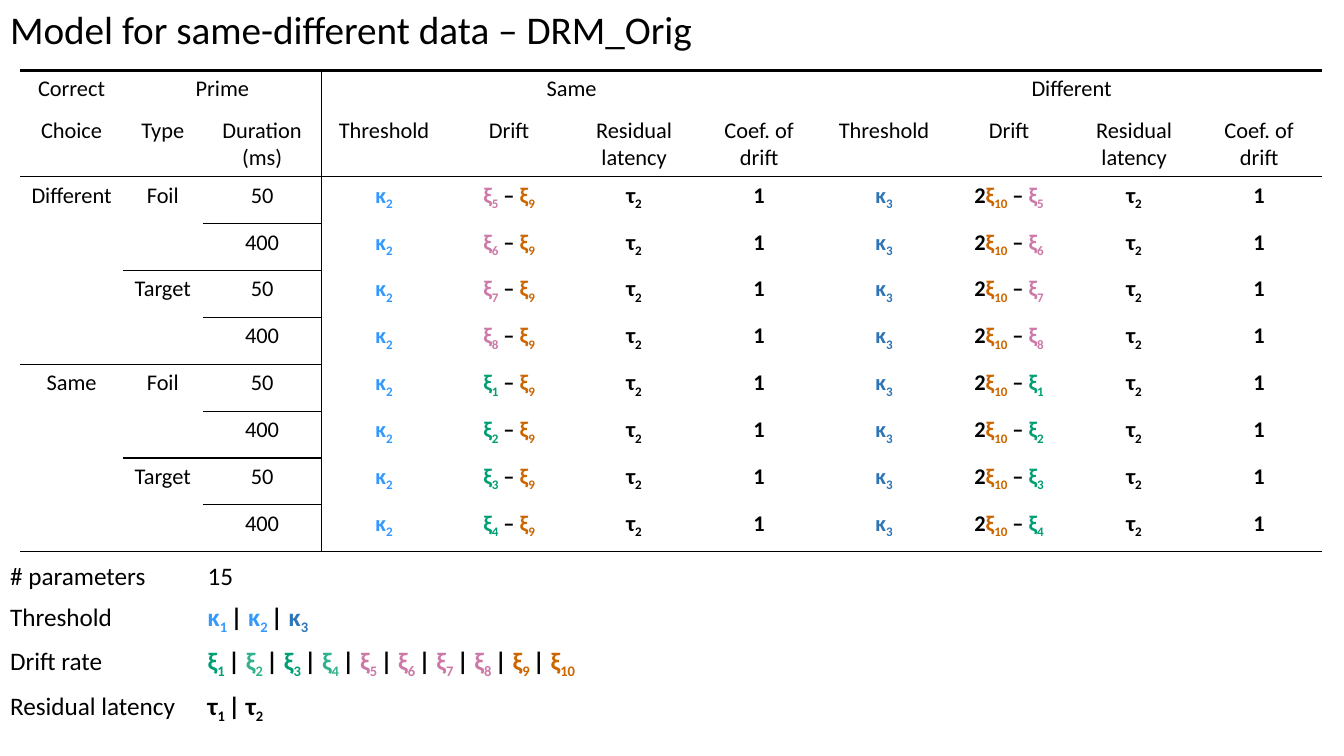
from lxml.etree import SubElement, Element
from pptx import Presentation
from pptx.dml.color import RGBColor
from pptx.enum.text import MSO_ANCHOR as Anchor, MSO_AUTO_SIZE as AutoSize, PP_ALIGN as Align
from pptx.oxml.ns import qn
from pptx.util import Inches, Pt

BLACK, WHITE = "000000", "FFFFFF"
LIGHT_BLUE, DARK_BLUE = "3399FF", "2E75B6"
GREEN, LIGHT_GREEN, PINK, ORANGE = "009E73", "32B18E", "CC79A7", "CC6600"
PLAIN_STYLE = "{2D5ABB26-0587-4C30-8999-92F81FD0307C}"
MODEL_COLUMNS = [1.02, 0.79, 1.18] + [1.24] * 8
MODEL_ROWS = [0.41, 0.64] + [0.465] * 8
LEGEND_COLUMNS = [1.96, 11.26]
LEGEND_ROWS = [0.4, 0.44, 0.44, 0.44]
MEASURES = ["Threshold", "Drift", "Residual latency", "Coef. of\ndrift"]


def color(value):
    """Turn a hex string into a colour."""
    return RGBColor.from_string(value)


def add_span(para, text, size=16, fill=BLACK, bold=False, lowered=False):
    """Add one formatted run to a paragraph."""
    span = para.add_run()
    span.text = text
    font = span.font
    font.name, font.size, font.bold = "Calibri", Pt(size), bold
    font.color.rgb = color(fill)
    if lowered:
        font._element.set("baseline", "-25000")


def symbol(letter, index, fill=BLACK):
    """Return the parts of a letter with its subscript."""
    return [(letter, fill, False), (str(index), fill, True)]


def drift_color(index):
    """Return the colour of a drift rate in the model table."""
    return GREEN if index <= 4 else PINK if index <= 8 else ORANGE


def drift(index):
    """Return the parts of one drift rate."""
    return symbol("ξ", index, drift_color(index))


def listing(symbols):
    """Join symbols with upright bars."""
    parts = []
    for position, (letter, index) in enumerate(symbols):
        if position:
            text, fill, lowered = parts.pop()
            parts += [(text + " ", fill, lowered), ("| ", BLACK, False)]
        parts += [letter, index]
    return parts


def write_cell(cell, content, size, align):
    """Write plain text or a list of formula parts into a cell."""
    frame = cell.text_frame
    if isinstance(content, str):
        for number, line in enumerate(content.split("\n")):
            para = frame.add_paragraph() if number else frame.paragraphs[0]
            para.alignment = align
            if line:
                add_span(para, line, size=size)
        return
    para = frame.paragraphs[0]
    para.alignment = align
    for text, fill, lowered in content:
        add_span(para, text, size=size, fill=fill, bold=True, lowered=lowered)


def set_borders(cell, **widths):
    """Give a cell its left, right, top and bottom line widths in points."""
    properties = cell._tc.get_or_add_tcPr()
    for position, side in enumerate("LRTB"):
        width = widths.get(side, 0)
        line = Element(qn(f"a:ln{side}"), w=str(Pt(width)))
        if width:
            paint = SubElement(line, qn("a:solidFill"))
            SubElement(paint, qn("a:srgbClr"), val=BLACK)
        else:
            SubElement(line, qn("a:noFill"))
        properties.insert(position, line)


def add_plain_table(page, left, top, columns, rows):
    """Add a table without style or banding."""
    box = page.shapes.add_table(len(rows), len(columns), Inches(left), Inches(top),
                                Inches(sum(columns)), Inches(sum(rows)))
    table = box.table
    table.first_row = table.horz_banding = False
    table._tbl.tblPr.find(qn("a:tableStyleId")).text = PLAIN_STYLE
    for column, width in zip(table.columns, columns):
        column.width = Inches(width)
    for row, height in zip(table.rows, rows):
        row.height = Inches(height)
    return table


def condition_row(number):
    """Return the cells of one condition, numbered from 0 to 7."""
    choice = {0: "Different", 4: "Same"}.get(number, "")
    prime = {0: "Foil", 2: "Target"}.get(number % 4, "")
    rate = drift((number + 4) % 8 + 1)
    minus, one = (" – ", BLACK, False), [("1", BLACK, False)]
    latency = symbol("τ", 2)
    same = [symbol("κ", 2, LIGHT_BLUE), rate + [minus] + drift(9), latency, one]
    different = [symbol("κ", 3, DARK_BLUE),
                 [("2", BLACK, False)] + drift(10) + [minus] + rate, latency, one]
    return [choice, prime, ["50", "400"][number % 2]] + same + different


def line_below(row, column):
    """Return the width of the line under a cell of the model table."""
    if row < 0:
        return 2.25
    if row in (1, len(MODEL_ROWS) - 1):
        return 1
    group = [4, 2, 1]
    return 1 if row > 1 and column < 3 and (row - 1) % group[column] == 0 else 0


def build_title(page, left, top, width, height):
    """Place the title on one line."""
    title = page.shapes.title
    title.left, title.top = Inches(left), Inches(top)
    title.width, title.height = Inches(width), Inches(height)
    frame = title.text_frame
    frame.word_wrap, frame.auto_size = False, AutoSize.NONE
    frame.vertical_anchor = Anchor.TOP
    para = frame.paragraphs[0]
    para.alignment = Align.LEFT
    add_span(para, "Model for same-different data – DRM_Orig", size=28)


def build_model(page, left, top):
    """Build the table of conditions and model terms."""
    table = add_plain_table(page, left, top, MODEL_COLUMNS, MODEL_ROWS)
    heads = ["Correct", "Prime", "", "Same", "", "", "", "Different", "", "", ""]
    contents = [heads, ["Choice", "Type", "Duration (ms)"] + MEASURES * 2]
    contents += [condition_row(number) for number in range(8)]
    for row, line in enumerate(contents):
        for column, content in enumerate(line):
            cell = table.cell(row, column)
            write_cell(cell, content, 16, Align.CENTER)
            cell.fill.background()
            set_borders(cell, L=int(column == 3), R=int(column == 2),
                        T=line_below(row - 1, column), B=line_below(row, column))
    for first, last in [(1, 2), (3, 6), (7, 10)]:
        table.cell(0, first).merge(table.cell(0, last))


def build_legend(page, left, top):
    """Build the list of model parameters."""
    table = add_plain_table(page, left, top, LEGEND_COLUMNS, LEGEND_ROWS)
    thresholds = [symbol("κ", index, fill) for index, fill in
                  enumerate([LIGHT_BLUE, LIGHT_BLUE, DARK_BLUE], 1)]
    rates = [symbol("ξ", index, LIGHT_GREEN if index in (2, 4) else drift_color(index))
             for index in range(1, 11)]
    latencies = [symbol("τ", index) for index in (1, 2)]
    contents = [("# parameters", "15"), ("Threshold", listing(thresholds)),
                ("Drift rate", listing(rates)), ("Residual latency", listing(latencies))]
    for row, line in enumerate(contents):
        for column, content in enumerate(line):
            cell = table.cell(row, column)
            write_cell(cell, content, 18, Align.LEFT)
            cell.fill.solid()
            cell.fill.fore_color.rgb = color(WHITE)


def main():
    """Build the slide and save it."""
    deck = Presentation()
    deck.slide_width, deck.slide_height = Inches(13.33), Inches(7.5)
    page = deck.slides.add_slide(deck.slide_layouts[5])
    build_title(page, 0, 0, 7.24, 0.57)
    build_model(page, 0.2, 0.7)
    build_legend(page, 0, 5.52)
    deck.save("out.pptx")


if __name__ == "__main__":
    main()
